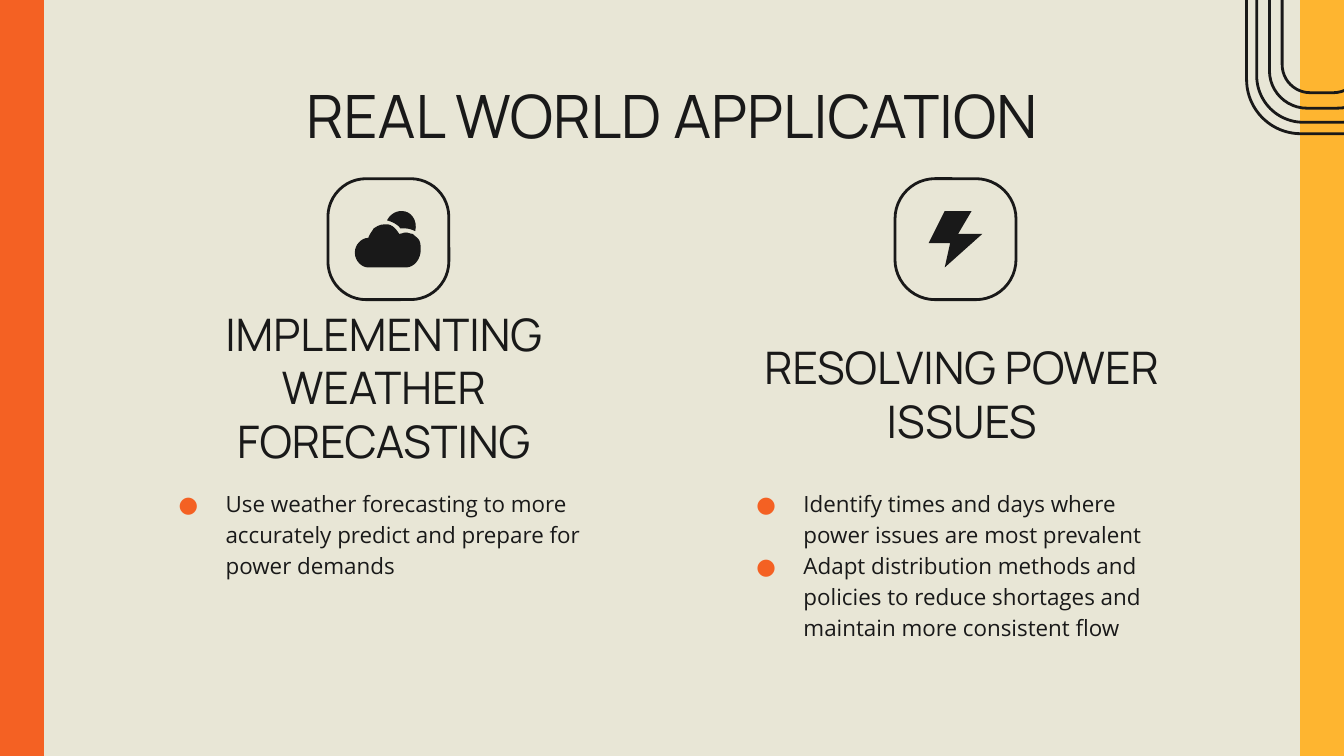
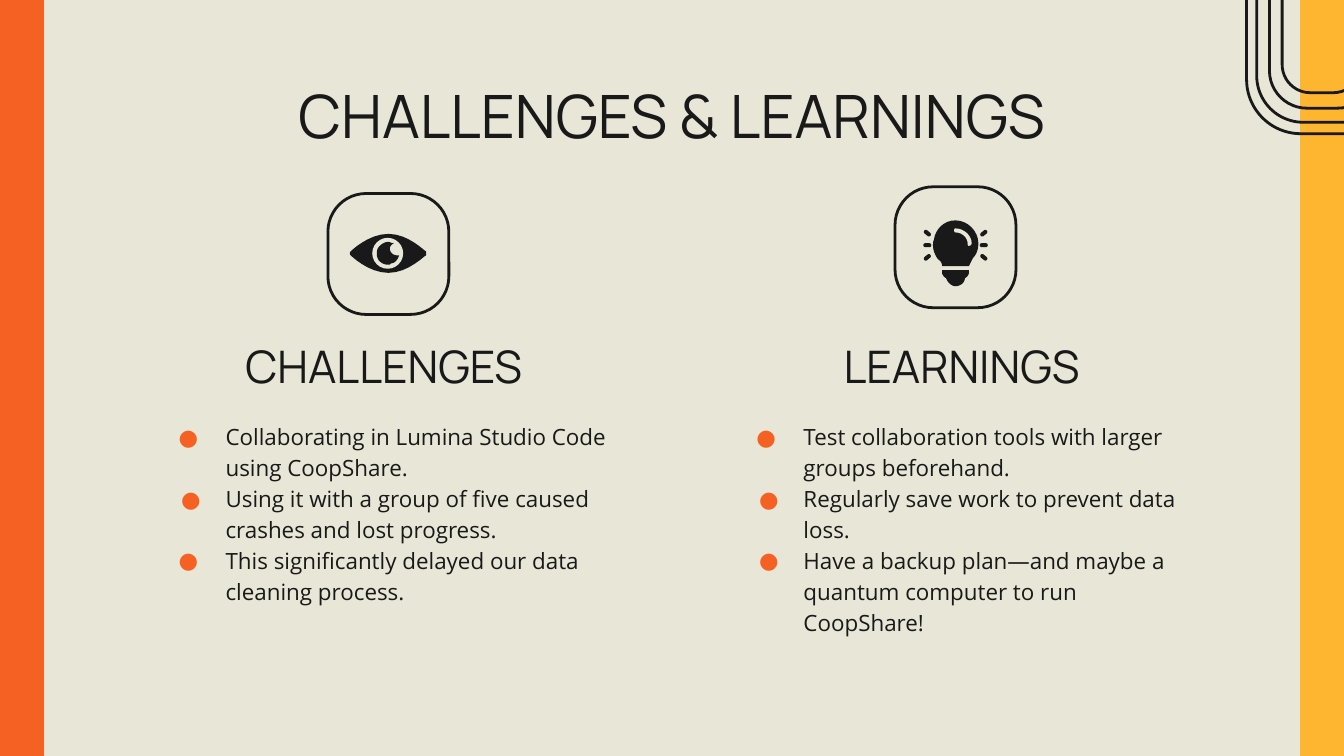
from lxml import etree
from pptx import Presentation
from pptx.dml.color import RGBColor
from pptx.enum import shapes, text
from pptx.oxml.ns import qn
from pptx.util import Inches, Pt

ORANGE = RGBColor(0xF4, 0x61, 0x23)
YELLOW = RGBColor(0xFE, 0xB5, 0x30)
INK = RGBColor(0x19, 0x19, 0x19)
SAND = RGBColor(0xE8, 0xE6, 0xD6)

KIND = shapes.MSO_SHAPE
WIDTH, BAND = 10, 0.32
HEIGHT = WIDTH * 9 / 16
COLUMNS, COLUMN_WIDTH = (1.08, 5.38), 3.55
TILES, TILE_SIZE = (2.44, 6.66), 0.9
RAILS = [
    (7.88, -1.54, 3.93, 1.14),
    (7.96, -1.46, 3.76, 0.98),
    (8.07, -1.36, 3.54, 0.79),
    (8.18, -1.26, 3.31, 0.59),
]
HEADING = {"name": "Manrope", "size": Pt(24)}
TITLE = {"name": "Manrope", "size": Pt(32)}
BODY = {"name": "Open Sans", "size": Pt(12)}

SUN = [(2.99, 1.57), (2.94, 1.57, 2.9, 1.6, 2.88, 1.64),
       (2.92, 1.65, 2.96, 1.67, 2.98, 1.7), (2.99, 1.7, 3, 1.7, 3.02, 1.7),
       (3.04, 1.7, 3.07, 1.71, 3.09, 1.72), (3.11, 1.64, 3.06, 1.57, 2.99, 1.57)]
CLOUD = [(2.86, 1.67), (2.83, 1.67, 2.81, 1.68, 2.78, 1.7),
         (2.77, 1.72, 2.75, 1.74, 2.74, 1.77), (2.69, 1.77, 2.64, 1.82, 2.64, 1.88),
         (2.64, 1.94, 2.69, 1.99, 2.74, 1.99), (3.02, 1.99),
         (3.08, 1.99, 3.13, 1.93, 3.13, 1.86), (3.13, 1.84, 3.13, 1.81, 3.12, 1.79),
         (3.11, 1.77, 3.09, 1.76, 3.07, 1.74), (3.05, 1.74, 3.04, 1.73, 3.02, 1.73),
         (3, 1.73, 2.99, 1.74, 2.97, 1.74), (2.95, 1.71, 2.93, 1.68, 2.89, 1.67)]
BOLT = [(7.03, 1.57), (6.91, 1.81), (7.07, 1.81), (7.03, 1.99),
        (7.31, 1.74), (7.13, 1.74), (7.23, 1.57)]
EYELIDS = [(2.89, 1.74), (2.74, 1.74, 2.61, 1.87, 2.61, 1.87),
           (2.6, 1.88, 2.6, 1.89, 2.61, 1.9), (2.61, 1.9, 2.74, 2.03, 2.89, 2.03),
           (3.04, 2.03, 3.16, 1.9, 3.17, 1.9), (3.17, 1.89, 3.17, 1.88, 3.17, 1.87),
           (3.16, 1.87, 3.04, 1.74, 2.89, 1.74)]
PUPIL = [(2.89, 1.8), (2.86, 1.8, 2.83, 1.82, 2.81, 1.85),
         (2.8, 1.88, 2.8, 1.91, 2.82, 1.94), (2.84, 1.96, 2.86, 1.97, 2.89, 1.97),
         (2.9, 1.97, 2.9, 1.97, 2.91, 1.96), (2.94, 1.96, 2.96, 1.93, 2.97, 1.9),
         (2.96, 1.9, 2.96, 1.9, 2.95, 1.9), (2.93, 1.9, 2.9, 1.88, 2.9, 1.85),
         (2.9, 1.84, 2.91, 1.82, 2.93, 1.81), (2.91, 1.81, 2.9, 1.8, 2.89, 1.8)]
BULB = [(7.11, 1.64), (7.02, 1.64, 6.96, 1.71, 6.95, 1.78),
        (6.93, 1.83, 6.95, 1.89, 6.98, 1.93), (7, 1.94, 7.01, 1.96, 7.01, 1.98),
        (7.21, 1.98), (7.22, 1.96, 7.23, 1.94, 7.24, 1.92),
        (7.27, 1.89, 7.28, 1.85, 7.28, 1.81), (7.28, 1.72, 7.2, 1.64, 7.11, 1.64)]
GLINT = [(7.11, 1.7), (7.17, 1.7, 7.23, 1.75, 7.23, 1.81),
         (7.23, 1.82, 7.22, 1.83, 7.21, 1.83), (7.2, 1.83, 7.2, 1.82, 7.2, 1.81),
         (7.2, 1.77, 7.16, 1.73, 7.11, 1.73), (7.1, 1.73, 7.1, 1.72, 7.1, 1.71),
         (7.1, 1.71, 7.1, 1.7, 7.11, 1.7)]
BULB_BASE = [(7.01, 2.01), (7.01, 2.03), (7.01, 2.04, 7.02, 2.06, 7.04, 2.07),
             (7.05, 2.1, 7.08, 2.13, 7.11, 2.13), (7.15, 2.13, 7.18, 2.1, 7.18, 2.07),
             (7.2, 2.06, 7.21, 2.04, 7.21, 2.03), (7.21, 2.01)]

SLIDES = [
    {
        "title": "REAL WORLD APPLICATION",
        "body_top": 3.52,
        "columns": [
            {"heading": "IMPLEMENTING WEATHER FORECASTING", "span": (2.46, 1.12),
             "tile": (1.33, 0.316), "icon": "weather",
             "points": [("Use weather forecasting to more accurately predict and "
                         "prepare for power demands", 0.35)]},
            {"heading": "RESOLVING POWER ISSUES", "span": (2.61, 0.82),
             "tile": (1.33, 0.331), "icon": "power",
             "points": [("Identify times and days where power issues are most "
                         "prevalent", 0.35),
                        ("Adapt distribution methods and policies to reduce "
                         "shortages and maintain more consistent flow", 0.35)]},
        ],
    },
    {
        "title": "CHALLENGES & LEARNINGS",
        "body_top": 3.02,
        "columns": [
            {"heading": "CHALLENGES", "span": (2.46, 0.56),
             "tile": (1.44, 0.316), "icon": "eye",
             "points": [("Collaborating in Lumina Studio Code using CoopShare.", 0.35),
                        ("Using it with a group of five caused crashes and lost "
                         "progress.", 0.33),
                        ("This significantly delayed our data cleaning process.", 0.35)]},
            {"heading": "LEARNINGS", "span": (2.46, 0.56),
             "tile": (1.39, 0.316), "icon": "bulb",
             "points": [("Test collaboration tools with larger groups beforehand.", 0.35),
                        ("Regularly save work to prevent data loss.", 0.33),
                        ("Have a backup plan—and maybe a quantum computer to run "
                         "CoopShare!", 0.33)]},
        ],
    },
]


def paint(shape, fill=None, line=None, weight=1.5):
    shape.shadow.inherit = False
    for part, color in ((shape.fill, fill), (shape.line.fill, line)):
        if color is None:
            part.background()
        else:
            part.solid()
            part.fore_color.rgb = color
    if line is not None:
        shape.line.width = Pt(weight)


def add_preset(page, kind, place, corner=None, turn=0, **colors):
    shape = page.shapes.add_shape(kind, *map(Inches, place))
    if corner is not None:
        shape.adjustments[0] = corner
    shape.rotation = turn
    paint(shape, **colors)


def add_outline(page, outline, fill=INK, steps=8):
    points = []
    for segment in outline:
        if len(segment) == 2:
            points.append(segment)
            continue
        corners = [points[-1], segment[:2], segment[2:4], segment[4:]]
        for step in range(1, steps + 1):
            t = step / steps
            weights = ((1 - t) ** 3, 3 * t * (1 - t) ** 2, 3 * t * t * (1 - t), t ** 3)
            points.append(tuple(sum(w * c[axis] for w, c in zip(weights, corners))
                                for axis in (0, 1)))
    points = [(Inches(x), Inches(y)) for x, y in points]
    builder = page.shapes.build_freeform(*points[0])
    builder.add_line_segments(points[1:], close=True)
    paint(builder.convert_to_shape(), fill=fill)


def draw_weather(page):
    for outline in (SUN, CLOUD):
        add_outline(page, outline)


def draw_power(page):
    add_outline(page, BOLT)


def draw_eye(page):
    add_outline(page, EYELIDS)
    add_preset(page, KIND.OVAL, (2.77, 1.77, 0.23, 0.23), fill=SAND)
    add_outline(page, PUPIL)


def draw_bulb(page):
    for outline, color in ((BULB, INK), (GLINT, SAND), (BULB_BASE, INK)):
        add_outline(page, outline, color)
    for side in (-1, 1):
        for row in (-1, 0, 1):
            place = (7.11 + side * 0.21 - 0.03, 1.81 + row * 0.09, 0.06, 0.03)
            add_preset(page, KIND.ROUNDED_RECTANGLE, place, 0.5, side * row * 40, fill=INK)


ICONS = {"weather": draw_weather, "power": draw_power, "eye": draw_eye, "bulb": draw_bulb}


def add_text(page, place, lines, font, align=text.PP_ALIGN.CENTER,
             anchor=text.MSO_ANCHOR.TOP, inset_top=0.1):
    frame = page.shapes.add_textbox(*map(Inches, place)).text_frame
    settings = {"word_wrap": True, "vertical_anchor": anchor,
                "margin_left": Inches(0.1), "margin_right": Inches(0.1),
                "margin_top": Inches(inset_top), "margin_bottom": Inches(0.1)}
    for name, value in settings.items():
        setattr(frame, name, value)
    for index, line in enumerate(lines):
        para = frame.add_paragraph() if index else frame.paragraphs[0]
        para.alignment = align
        span = para.add_run()
        span.text = line
        span.font.color.rgb = INK
        for name, value in font.items():
            setattr(span.font, name, value)
    return frame


def add_bullet(para, hanging):
    para.line_spacing = 1.15
    props = para._p.get_or_add_pPr()
    props.set("marL", str(Inches(0.5)))
    props.set("indent", str(-Inches(hanging)))
    color = etree.SubElement(props, qn("a:buClr"))
    etree.SubElement(color, qn("a:srgbClr"), val=str(ORANGE))
    etree.SubElement(props, qn("a:buFont"), typeface=HEADING["name"])
    etree.SubElement(props, qn("a:buChar"), char="●")


def add_frame(page, title):
    page.background.fill.solid()
    page.background.fill.fore_color.rgb = SAND
    for left, color in ((0, ORANGE), (WIDTH - BAND, YELLOW)):
        add_preset(page, KIND.RECTANGLE, (left, 0, BAND, HEIGHT),
                   fill=color, line=color, weight=0.75)
    for rail in RAILS:
        add_preset(page, KIND.ROUNDED_RECTANGLE, rail, 0.354, 90, line=INK)
    add_text(page, (0.79, 0.59, 8.42, 0.63), [title], TITLE, inset_top=0)


def add_column(page, left, tile_left, body_top, column):
    top, height = column["span"]
    add_text(page, (left, top, COLUMN_WIDTH, height), [column["heading"]], HEADING,
             anchor=text.MSO_ANCHOR.BOTTOM)
    frame = add_text(page, (left, body_top, COLUMN_WIDTH, 5.04 - body_top),
                     [line for line, _ in column["points"]], BODY, text.PP_ALIGN.LEFT)
    for para, (_, hanging) in zip(frame.paragraphs, column["points"]):
        add_bullet(para, hanging)
    tile_top, corner = column["tile"]
    add_preset(page, KIND.ROUNDED_RECTANGLE, (tile_left, tile_top, TILE_SIZE, TILE_SIZE),
               corner, line=INK)
    ICONS[column["icon"]](page)


def main():
    deck = Presentation()
    deck.slide_width, deck.slide_height = Inches(WIDTH), Inches(HEIGHT)
    for content in SLIDES:
        page = deck.slides.add_slide(deck.slide_layouts[6])
        add_frame(page, content["title"])
        for left, tile_left, column in zip(COLUMNS, TILES, content["columns"]):
            add_column(page, left, tile_left, content["body_top"], column)
    deck.save("out.pptx")


if __name__ == "__main__":
    main()
